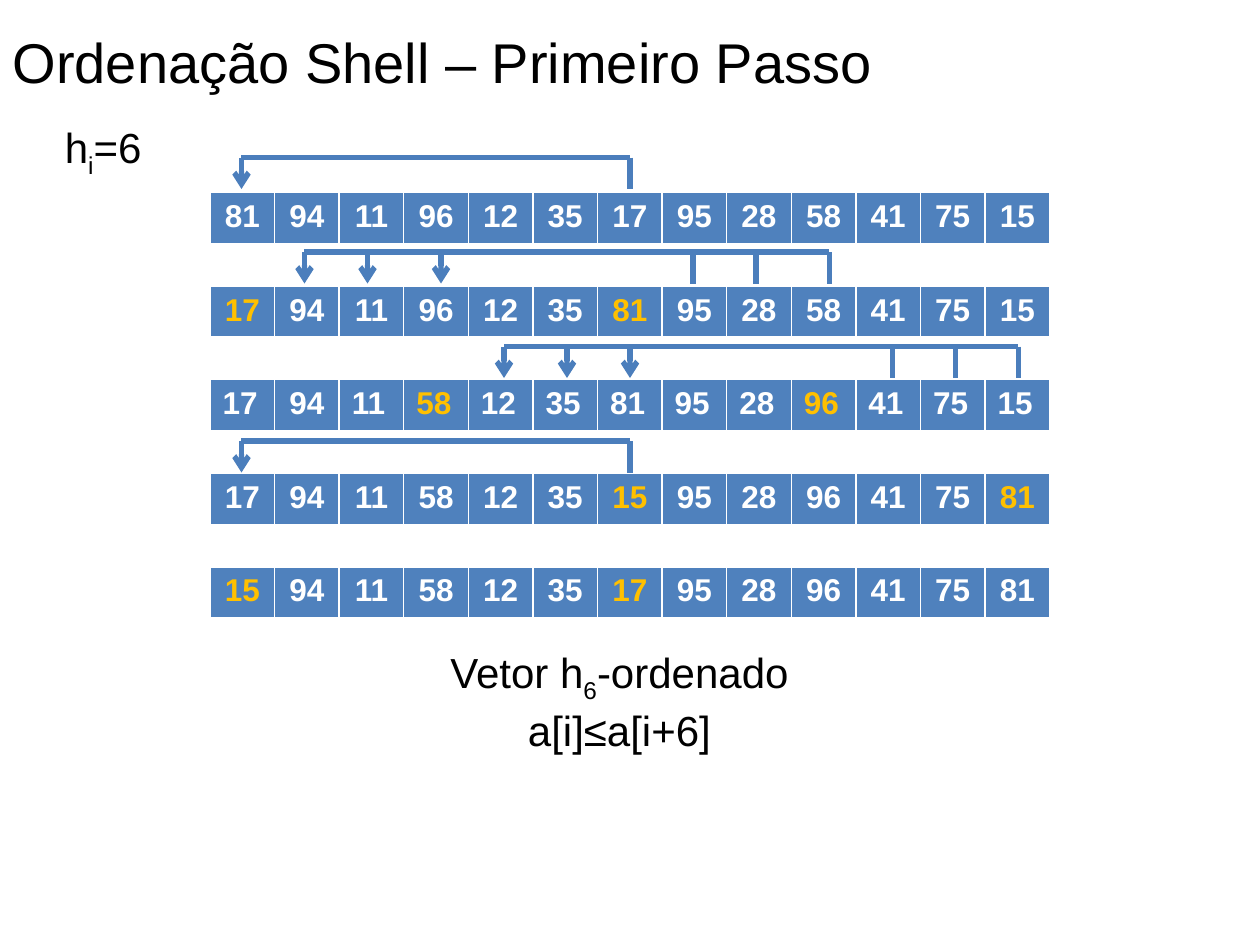
from lxml.etree import SubElement
from pptx import Presentation
from pptx.dml.color import RGBColor
from pptx.enum.shapes import MSO_CONNECTOR as CONN
from pptx.enum.text import MSO_ANCHOR as ANCHOR, MSO_AUTO_SIZE as AUTO, PP_ALIGN as ALIGN
from pptx.oxml.ns import qn
from pptx.util import Pt

BLACK = RGBColor(0x00, 0x00, 0x00)
WHITE = RGBColor(0xFF, 0xFF, 0xFF)
BLUE = RGBColor(0x4F, 0x81, 0xBD)
LINE = RGBColor(0x4B, 0x7E, 0xBC)
GOLD = RGBColor(0xFF, 0xC0, 0x00)
FONT = "Arial"

STEPS = [
    ([81, 94, 11, 96, 12, 35, 17, 95, 28, 58, 41, 75, 15], ()),
    ([17, 94, 11, 96, 12, 35, 81, 95, 28, 58, 41, 75, 15], (0, 6)),
    ([17, 94, 11, 58, 12, 35, 81, 95, 28, 96, 41, 75, 15], (3, 9)),
    ([17, 94, 11, 58, 12, 35, 15, 95, 28, 96, 41, 75, 81], (6, 12)),
    ([15, 94, 11, 58, 12, 35, 17, 95, 28, 96, 41, 75, 81], (0, 6)),
]
LEFT_ALIGNED_STEP = 2
CENTERED_COLUMN = 1
BRACKET_LEFTS = [(138,), (174, 210, 252), (288, 324, 360), (138,)]


def set_font(p, size, color, bold=False):
    p.font.name = FONT
    p.font.size = Pt(size)
    p.font.color.rgb = color
    p.font.bold = bold


def add_title(s, left, top, width, height):
    sp = s.shapes.title
    sp.left, sp.top, sp.width, sp.height = Pt(left), Pt(top), Pt(width), Pt(height)
    tf = sp.text_frame
    tf.text = "Ordenação Shell – Primeiro Passo"
    tf.word_wrap = False
    tf.auto_size = AUTO.SHAPE_TO_FIT_TEXT
    tf.vertical_anchor = ANCHOR.TOP
    p = tf.paragraphs[0]
    p.alignment = ALIGN.LEFT
    set_font(p, 32, BLACK)


def add_formula(s, left, top, width, height, before, sub, after, align):
    sp = s.shapes.add_textbox(Pt(left), Pt(top), Pt(width), Pt(height))
    tf = sp.text_frame
    tf.word_wrap = True
    tf.auto_size = AUTO.SHAPE_TO_FIT_TEXT
    p = tf.paragraphs[0]
    p.alignment = align
    set_font(p, 24, BLACK)
    for text in (before, sub, after):
        r = p.add_run()
        r.text = text
        if text == sub:
            r.font._element.set("baseline", "-25000")


def add_array(s, left, top, width, height, values, swapped, left_aligned):
    frame = s.shapes.add_table(1, len(values), Pt(left), Pt(top), Pt(width), Pt(height))
    table = frame.table
    for i, value in enumerate(values):
        table.columns[i].width = Pt(width / len(values))
        cell = table.cell(0, i)
        cell.fill.solid()
        cell.fill.fore_color.rgb = BLUE
        cell.text = str(value)
        p = cell.text_frame.paragraphs[0]
        to_left = left_aligned and i != CENTERED_COLUMN
        p.alignment = ALIGN.LEFT if to_left else ALIGN.CENTER
        set_font(p, 18, GOLD if i in swapped else WHITE, True)


def add_bracket(s, left, top, width, height):
    right, bottom = left + width, top + height
    group = s.shapes.add_group_shape()
    for x1, y1, x2, y2, arrow in (
        (left, top, right, top, False),
        (right, top, right, bottom, False),
        (left, top, left, bottom, True),
    ):
        c = group.shapes.add_connector(CONN.STRAIGHT, Pt(x1), Pt(y1), Pt(x2), Pt(y2))
        c.line.color.rgb = LINE
        c.line.width = Pt(3)
        if arrow:
            SubElement(c.line._get_or_add_ln(), qn("a:tailEnd"), type="arrow")
        SubElement(c._element.spPr, qn("a:effectLst"))


def add_sorting(s, left, top, width, height):
    row_height = 29.2
    pitch = (height - row_height) / (len(STEPS) - 1)
    for i, (values, swapped) in enumerate(STEPS):
        add_array(s, left, top + i * pitch, width, row_height,
                  values, swapped, i == LEFT_ALIGNED_STEP)
    for i, lefts in enumerate(BRACKET_LEFTS):
        for x in lefts:
            add_bracket(s, x, top - 20 + i * 54, 222, 18)


def main():
    prs = Presentation()
    prs.slide_width, prs.slide_height = Pt(720), Pt(540)
    s = prs.slides.add_slide(prs.slide_layouts[5])
    add_title(s, 0, 12, 510, 46)
    add_formula(s, 30, 66, 90, 36.5, "h", "i", "=6", ALIGN.LEFT)
    add_sorting(s, 120, 110, 480, 243.2)
    add_formula(s, 246, 366, 216, 65.5, "Vetor h", "6", "-ordenado a[i]≤a[i+6]", ALIGN.CENTER)
    prs.save("out.pptx")


if __name__ == "__main__":
    main()
